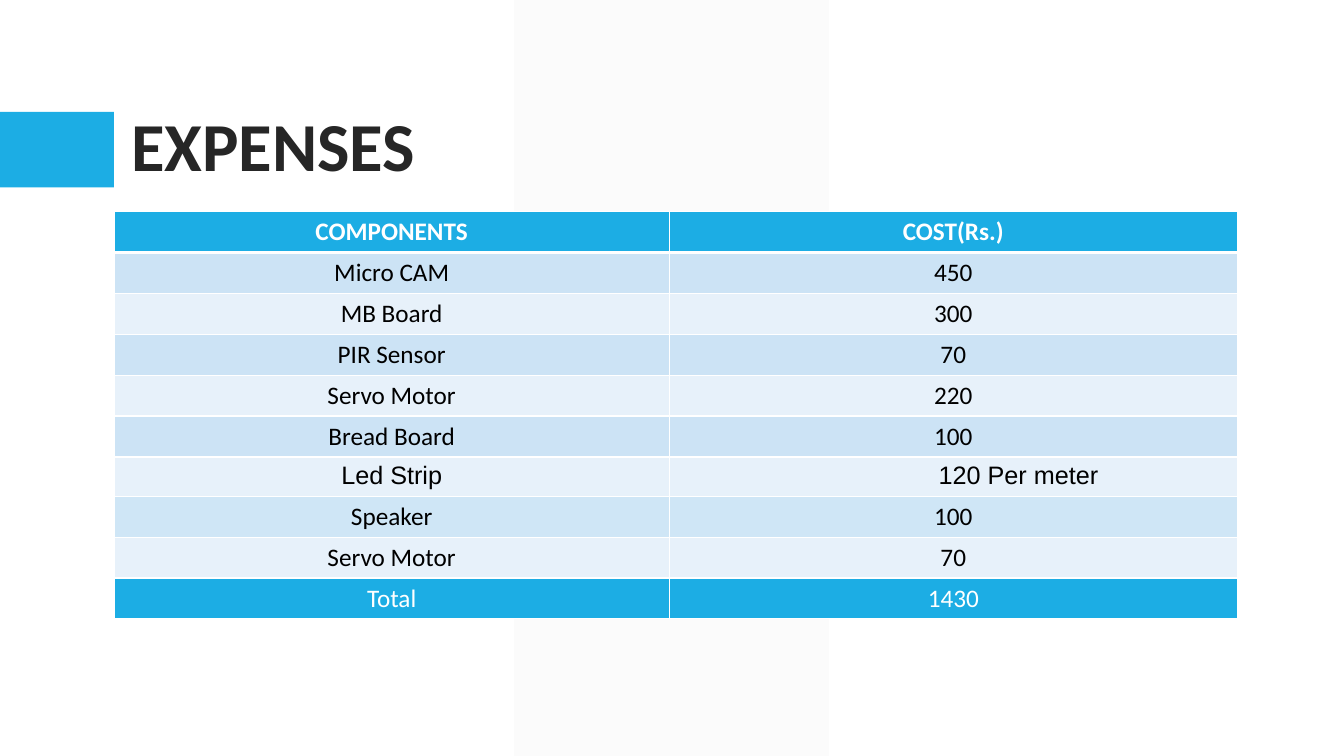
from lxml import etree
from pptx import Presentation
from pptx import util as u
from pptx.dml.color import RGBColor
from pptx.enum import shapes, text
from pptx.oxml.ns import qn

EXPENSES = [
    ("COMPONENTS", "COST(Rs.)"),
    ("Micro CAM", "450"),
    ("MB Board", "300"),
    ("PIR Sensor", "70"),
    ("Servo Motor", "220"),
    ("Bread Board", "100"),
    ("Led Strip", "120 Per meter"),
    ("Speaker", "100"),
    ("Servo Motor", "70"),
    ("Total", "1430"),
]
LED_ROW, SPEAKER_ROW, TOTAL_ROW = 6, 7, len(EXPENSES) - 1


def rgb(value):
    return RGBColor.from_string(value)


class Deck:
    FONT = "Calibri"
    ACCENT, WHITE, BLACK, DARK = "1CADE4", "FFFFFF", "000000", "262626"
    BANDS = ("E7F1FA", "CCE3F5")

    def __init__(self):
        self.prs = Presentation()
        self.prs.slide_width = u.Inches(13.33)
        self.prs.slide_height = u.Inches(7.5)
        self.s = self.prs.slides.add_slide(self.prs.slide_layouts[5])

    def style(self, p, size, color, bold=False, font=FONT):
        p.font.name, p.font.size, p.font.bold = font, u.Pt(size), bold
        p.font.color.rgb = rgb(color)

    def backdrop(self, kind, box, color, opacity=100):
        """Add a plain shape behind the title; opacity is in percent."""
        sp = self.s.shapes.add_shape(kind, *map(u.Inches, box))
        sp.shadow.inherit = False
        sp.fill.solid()
        sp.fill.fore_color.rgb = rgb(color)
        sp.line.fill.background()
        if opacity < 100:
            fill = sp.element.spPr.find(qn("a:solidFill"))
            etree.SubElement(fill[0], qn("a:alpha"), val=str(opacity * 1000))
        self.s.shapes.title.element.addprevious(sp.element)
        return sp

    def title(self, words, box):
        sp = self.s.shapes.title
        sp.left, sp.top, sp.width, sp.height = map(u.Inches, box)
        tf = sp.text_frame
        tf.text = words
        tf.word_wrap = True
        tf.auto_size = text.MSO_AUTO_SIZE.NONE
        tf.vertical_anchor = text.MSO_ANCHOR.BOTTOM
        p = tf.paragraphs[0]
        p.alignment = text.PP_ALIGN.LEFT
        p.line_spacing = 0.9
        self.style(p, 49, self.DARK, bold=True)

    def borders(self, cell, **widths):
        """Draw white cell borders, 1 pt unless a side is given in points."""
        tcPr = cell._tc.get_or_add_tcPr()
        for i, side in enumerate("LRTB"):
            ln = etree.Element(qn("a:ln" + side), w=str(u.Pt(widths.get(side, 1))))
            fill = etree.SubElement(ln, qn("a:solidFill"))
            etree.SubElement(fill, qn("a:srgbClr"), val=self.WHITE)
            tcPr.insert(i, ln)

    def cell(self, cell, words, fill, color, bold=False, font=FONT):
        cell.text = words
        cell.fill.solid()
        cell.fill.fore_color.rgb = rgb(fill)
        p = cell.text_frame.paragraphs[0]
        p.alignment = text.PP_ALIGN.CENTER
        self.style(p, 18, color, bold, font)

    def table(self, rows, left, top, widths):
        heights = [0.39 if i == LED_ROW else 0.4 for i in range(len(rows))]
        frame = self.s.shapes.add_table(
            len(rows), len(widths), u.Inches(left), u.Inches(top),
            u.Inches(sum(widths)), u.Inches(sum(heights)))
        table = frame.table
        for column, width in zip(table.columns, widths):
            column.width = u.Inches(width)
        for i, values in enumerate(rows):
            table.rows[i].height = u.Inches(heights[i])
            solid = i in (0, TOTAL_ROW)
            fill = self.ACCENT if solid else self.BANDS[i % 2]
            if i == SPEAKER_ROW:
                fill = "CFE6F6"
            for j, words in enumerate(values):
                cell = table.cell(i, j)
                self.cell(cell, words, fill,
                          self.WHITE if solid else self.BLACK, bold=i == 0,
                          font="Arial" if i == LED_ROW else self.FONT)
                self.borders(cell, **({"B": 3} if i == 0 else {"T": 3} if i == 1 else {}))
        return table


def main():
    deck = Deck()
    band = deck.backdrop(shapes.MSO_SHAPE.PARALLELOGRAM, (5.1, 0, 3.12, 7.5), "F2F2F2", 30)
    band.adjustments[0] = 0
    deck.backdrop(shapes.MSO_SHAPE.RECTANGLE, (0, 1.11, 1.13, 0.75), deck.ACCENT)
    deck.title("EXPENSES", (1.2, 0.31, 11, 1.59))
    table = deck.table(EXPENSES, 1.13, 2.1, (5.51, 5.63))

    led_cost = table.cell(LED_ROW, 1)
    led_cost.margin_left = u.Inches(2.67)
    led_cost.text_frame.paragraphs[0].alignment = text.PP_ALIGN.LEFT
    deck.prs.save("out.pptx")


if __name__ == "__main__":
    main()
